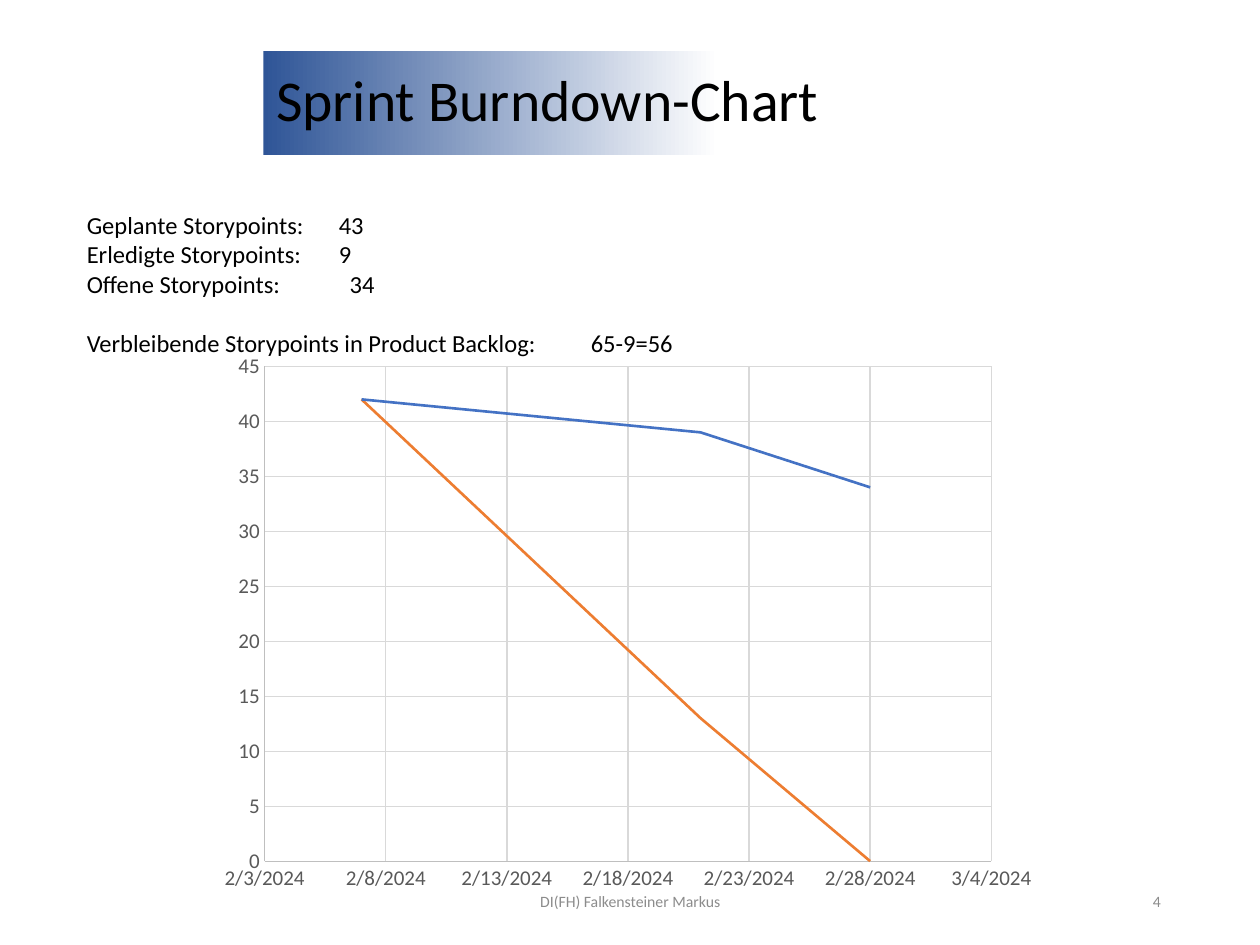
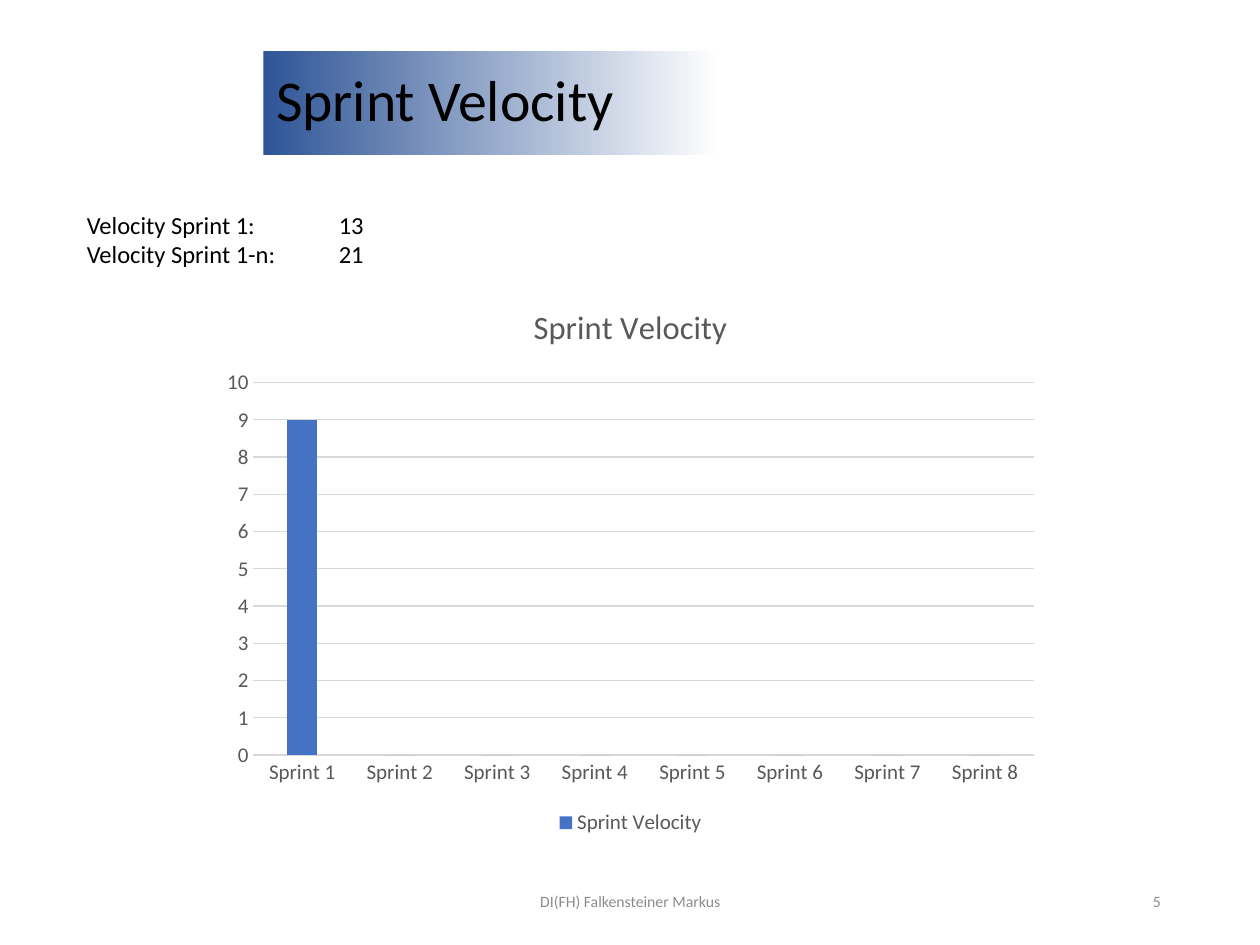
from lxml import etree
from pptx import Presentation
from pptx.chart.data import CategoryChartData, XyChartData
from pptx.dml.color import RGBColor
from pptx.enum.chart import XL_CHART_TYPE, XL_LEGEND_POSITION, XL_TICK_MARK
from pptx.enum.text import MSO_ANCHOR, MSO_AUTO_SIZE, PP_ALIGN
from pptx.oxml.ns import qn
from pptx.util import Cm, Pt

FONT = "Calibri"
BLACK = RGBColor(0x00, 0x00, 0x00)
WHITE = RGBColor(0xFF, 0xFF, 0xFF)
NAVY = RGBColor(0x2F, 0x55, 0x97)
BLUE = RGBColor(0x44, 0x72, 0xC4)
ORANGE = RGBColor(0xED, 0x7D, 0x31)
FOOTER_GRAY = RGBColor(0x8C, 0x8C, 0x8C)
LABEL_GRAY = RGBColor(0x59, 0x59, 0x59)
AXIS_GRAY = RGBColor(0xBF, 0xBF, 0xBF)
GRID_GRAY = RGBColor(0xD9, 0xD9, 0xD9)

FOOTER = "DI(FH) Falkensteiner Markus"
CHART_SIZE = Cm(16.94), Cm(11.28)

# Days as date serial numbers
FEB_3, FEB_7, FEB_21, FEB_28, MAR_4 = 45325, 45329, 45343, 45350, 45355


class Deck:
    def __init__(self):
        self.prs = Presentation()
        self.prs.slide_width, self.prs.slide_height = Cm(25.4), Cm(19.05)
        self.s = None

    def slide(self, title, number):
        self.s = self.prs.slides.add_slide(self.prs.slide_layouts[5])
        self.title(title)
        self.footer(FOOTER, Cm(8.41), Cm(8.59), PP_ALIGN.CENTER)
        self.footer(str(number), Cm(17.93), Cm(5.72), PP_ALIGN.RIGHT)

    def style(self, font, size, color):
        font.name, font.size, font.color.rgb = FONT, Pt(size), color

    def run(self, p, text, size, color):
        r = p.add_run()
        r.text = text
        self.style(r.font, size, color)

    def title(self, text):
        sp = self.s.shapes.title
        sp.left, sp.top, sp.width, sp.height = Cm(5.31), Cm(1.02), Cm(18.36), Cm(2.11)
        # Band fading to white at half width
        sp.fill.gradient()
        sp.fill.gradient_angle = 0
        for stop, position, color in zip(sp.fill.gradient_stops, (0, 0.5), (NAVY, WHITE)):
            stop.position, stop.color.rgb = position, color
        tf = sp.text_frame
        tf.auto_size = MSO_AUTO_SIZE.NONE
        tf.vertical_anchor = MSO_ANCHOR.MIDDLE
        p = tf.paragraphs[0]
        p.alignment, p.line_spacing = PP_ALIGN.LEFT, 0.9
        self.run(p, text, 33, BLACK)

    def textbox(self, left, top, width, height):
        tf = self.s.shapes.add_textbox(left, top, width, height).text_frame
        tf.word_wrap = True
        return tf

    def footer(self, text, left, width, align):
        tf = self.textbox(left, Cm(17.65), width, Cm(1.02))
        tf.vertical_anchor = MSO_ANCHOR.MIDDLE
        p = tf.paragraphs[0]
        p.alignment = align
        self.run(p, text, 9, FOOTER_GRAY)

    def figures(self, rows, height):
        """Rows of label, value, tab position and space before."""
        tf = self.textbox(Cm(1.5), Cm(4.11), Cm(19.61), height)
        for i, (label, value, tab, space) in enumerate(rows):
            p = tf.add_paragraph() if i else tf.paragraphs[0]
            p.space_before = Pt(space)
            tabs = etree.SubElement(p._p.get_or_add_pPr(), qn("a:tabLst"))
            etree.SubElement(tabs, qn("a:tab"), pos=str(int(tab)), algn="l")
            self.run(p, f"{label}\t{value}", 14, BLACK)

    def chart(self, kind, left, top, data):
        chart = self.s.shapes.add_chart(kind, left, top, *CHART_SIZE, data).chart
        self.style(chart.font, 12, LABEL_GRAY)
        chart.has_title = chart.has_legend = False
        return chart

    def axis(self, axis, line, grid, low=None, high=None, step=None):
        axis.major_tick_mark = axis.minor_tick_mark = XL_TICK_MARK.NONE
        self.style(axis.tick_labels.font, 12, LABEL_GRAY)
        axis.minimum_scale, axis.maximum_scale = low, high
        if step:
            axis.major_unit = step
        if line:
            self.line(axis.format.line, line)
        else:
            axis.format.line.fill.background()
        axis.has_major_gridlines = grid
        if grid:
            self.line(axis.major_gridlines.format.line, GRID_GRAY)

    def line(self, line, color, width=0.75):
        line.color.rgb, line.width = color, Pt(width)

    def burndown(self, left, top, series):
        data = XyChartData()
        for name, points, _ in series:
            xy = data.add_series(name)
            for day, storypoints in points:
                xy.add_data_point(day, storypoints)
        chart = self.chart(XL_CHART_TYPE.XY_SCATTER_LINES_NO_MARKERS, left, top, data)
        chart.plots[0].vary_by_categories = False
        for ser, (_, _, color) in zip(chart.plots[0].series, series):
            ser.smooth = False
            self.line(ser.format.line, color, 1.5)
        days = chart.category_axis
        self.axis(days, AXIS_GRAY, True, FEB_3, MAR_4, 5)
        days.tick_labels.number_format = "m/d/yyyy"
        days.tick_labels.number_format_is_linked = False
        self.axis(chart.value_axis, AXIS_GRAY, True, 0, 45, 5)

    def velocity(self, left, top, name, values):
        data = CategoryChartData()
        data.categories = [f"Sprint {i}" for i in range(1, len(values) + 1)]
        data.add_series(name, values)
        chart = self.chart(XL_CHART_TYPE.COLUMN_CLUSTERED, left, top, data)
        plot = chart.plots[0]
        plot.vary_by_categories = False
        plot.gap_width, plot.overlap = 219, -27
        fill = plot.series[0].format.fill
        fill.solid()
        fill.fore_color.rgb = BLUE
        self.axis(chart.category_axis, GRID_GRAY, False)
        self.axis(chart.value_axis, None, True, 0, 10, 1)
        # Chart title and legend
        chart.has_title = True
        p = chart.chart_title.text_frame.paragraphs[0]
        self.run(p, name, 18.6, LABEL_GRAY)
        p.runs[0].font.bold = False
        chart.has_legend = True
        chart.legend.position = XL_LEGEND_POSITION.BOTTOM
        chart.legend.include_in_layout = False
        self.style(chart.legend.font, 12, LABEL_GRAY)


def main():
    deck = Deck()

    # Burndown
    deck.slide("Sprint Burndown-Chart", 4)
    deck.figures([
        ("Geplante Storypoints:", "43", Cm(5.08), 0),
        ("Erledigte Storypoints:", "9", Cm(5.08), 0),
        ("Offene Storypoints:", "34", Cm(5.3), 0),
        ("Verbleibende Storypoints in Product Backlog:", "65-9=56", Cm(10.16), 17),
    ], Cm(3.84))
    days = FEB_7, FEB_21, FEB_28
    deck.burndown(Cm(4.19), Cm(6.91), [
        ("Series 1", list(zip(days, (42, 39, 34))), BLUE),
        ("Series 2", list(zip(days, (42, 13, 0))), ORANGE),
    ])

    # Velocity
    deck.slide("Sprint Velocity", 5)
    deck.figures([
        ("Velocity Sprint 1:", "13", Cm(5.08), 0),
        ("Velocity Sprint 1-n:", "21", Cm(5.08), 0),
    ], Cm(1.45))
    deck.velocity(Cm(4.24), Cm(5.66), "Sprint Velocity", [9] + [0] * 7)

    deck.prs.save("out.pptx")


if __name__ == "__main__":
    main()
